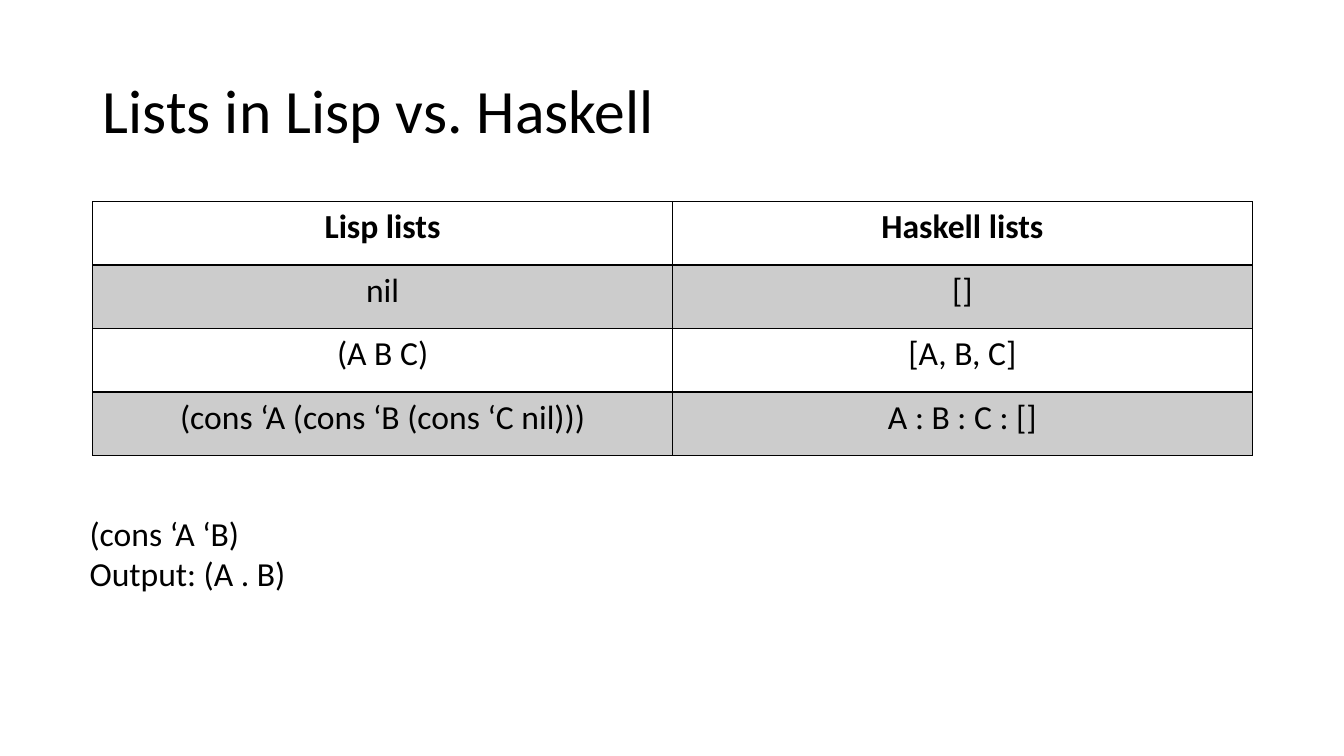
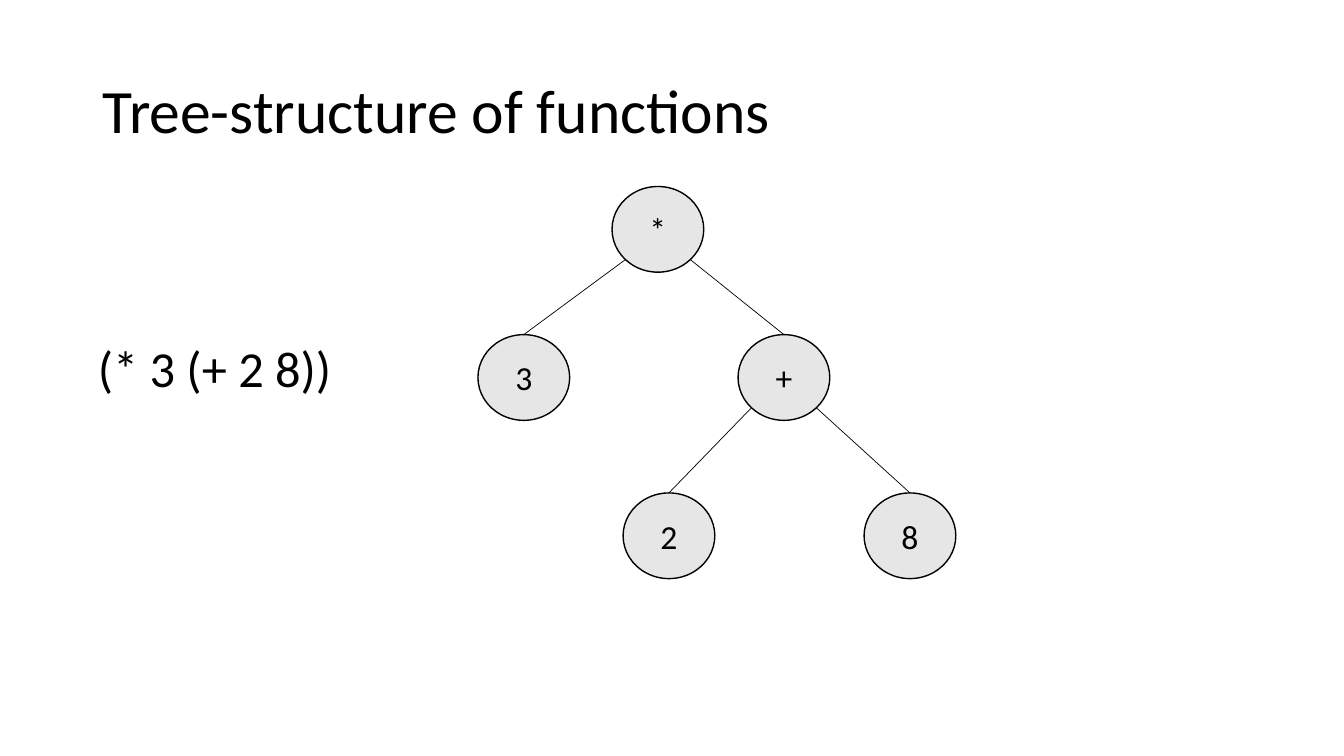
from lxml.etree import SubElement
from pptx import Presentation
from pptx.dml.color import RGBColor
from pptx.enum.shapes import MSO_CONNECTOR, MSO_SHAPE
from pptx.enum.text import MSO_ANCHOR, MSO_AUTO_SIZE, PP_ALIGN
from pptx.oxml.ns import qn
from pptx.util import Inches, Pt

BLACK = RGBColor(0x00, 0x00, 0x00)
WHITE = RGBColor(0xFF, 0xFF, 0xFF)
BAND = RGBColor(0xCC, 0xCC, 0xCC)
NODE_FILL = RGBColor(0xE7, 0xE6, 0xE6)
FONT = "Calibri"
TITLE_AND_BODY, TITLE_ONLY = 1, 5
NODE_W, NODE_H = 0.91, 0.85
DIAGONAL = 0.5 ** 0.5 / 2

LIST_ROWS = [
    ("Lisp lists", "Haskell lists"),
    ("nil", "[]"),
    ("(A B C)", "[A, B, C]"),
    ("(cons ‘A (cons ‘B (cons ‘C nil)))", "A : B : C : []"),
]
NODES = {
    "*": (6.07, 1.85),
    "3": (4.74, 3.32),
    "+": (7.32, 3.32),
    "2": (6.18, 4.89),
    "8": (8.57, 4.89),
}
BRANCHES = [("*", "3", -1), ("*", "+", 1), ("+", "2", -1), ("+", "8", 1)]


def write(tf, text, size=24, bold=False, align=PP_ALIGN.LEFT,
          anchor=MSO_ANCHOR.TOP, spacing=None, before=0):
    """Fill a text frame, one paragraph per line of text."""
    tf.word_wrap = True
    tf.vertical_anchor = anchor
    for i, line in enumerate(text.split("\n")):
        p = tf.paragraphs[0] if i == 0 else tf.add_paragraph()
        p.alignment = align
        p.line_spacing = spacing
        p.space_before = Pt(before)
        r = p.add_run()
        r.text = line
        r.font.name = FONT
        r.font.size = Pt(size)
        r.font.bold = bold
        r.font.color.rgb = BLACK


def place(sp, left, top, width, height):
    """Move and size a shape, in inches."""
    sp.left, sp.top = Inches(left), Inches(top)
    sp.width, sp.height = Inches(width), Inches(height)


def add_slide(prs, layout, title):
    """Add a slide with the shared title style."""
    s = prs.slides.add_slide(prs.slide_layouts[layout])
    place(s.shapes.title, 0.92, 0.4, 11.5, 1.45)
    tf = s.shapes.title.text_frame
    tf.auto_size = MSO_AUTO_SIZE.NONE
    write(tf, title, size=44, anchor=MSO_ANCHOR.MIDDLE, spacing=0.9)
    return s


def fill_body(s, text, left, top, width, height):
    """Set the body placeholder as plain text without a bullet."""
    sp = s.placeholders[1]
    place(sp, left, top, width, height)
    sp.text_frame.auto_size = MSO_AUTO_SIZE.NONE
    write(sp.text_frame, text, size=36, spacing=0.9, before=10)
    for p in sp.text_frame.paragraphs:
        pPr = p._p.get_or_add_pPr()
        pPr.set("marL", "0")
        pPr.set("indent", "0")
        SubElement(pPr, qn("a:buNone"))


def add_border(cell, side, width):
    """Draw one black border of a table cell."""
    tcPr = cell._tc.get_or_add_tcPr()
    ln = SubElement(tcPr, qn(f"a:ln{side}"), w=str(Pt(width)))
    fill = SubElement(ln, qn("a:solidFill"))
    SubElement(fill, qn("a:srgbClr"), val=str(BLACK))


def add_list_table(s, rows, left, top, width, row_height):
    """Add a banded table with a bold header over a heavier rule."""
    table = s.shapes.add_table(
        len(rows), len(rows[0]), Inches(left), Inches(top),
        Inches(width), Inches(row_height * len(rows))).table
    table.first_row = table.horz_banding = False
    for i, row in enumerate(rows):
        for j, text in enumerate(row):
            cell = table.cell(i, j)
            write(cell.text_frame, text, bold=i == 0, align=PP_ALIGN.CENTER)
            widths = {"L": 1, "R": 1, "T": 2 if i == 1 else 1,
                      "B": 2 if i == 0 else 1}
            for side, border in widths.items():
                add_border(cell, side, border)
            cell.fill.solid()
            cell.fill.fore_color.rgb = BAND if i % 2 else WHITE


def add_node(s, label, left, top):
    """Add one labelled tree node."""
    sp = s.shapes.add_shape(MSO_SHAPE.FLOWCHART_CONNECTOR, Inches(left),
                            Inches(top), Inches(NODE_W), Inches(NODE_H))
    sp.shadow.inherit = False
    sp.fill.solid()
    sp.fill.fore_color.rgb = NODE_FILL
    sp.line.color.rgb = BLACK
    sp.line.width = Pt(1)
    write(sp.text_frame, label, align=PP_ALIGN.CENTER,
          anchor=MSO_ANCHOR.MIDDLE)
    return sp


def add_branch(s, parent, child, side):
    """Join a parent's lower left (-1) or right (1) edge to a child's top."""
    x = parent.left + int(parent.width * (0.5 + side * DIAGONAL))
    y = parent.top + int(parent.height * (0.5 + DIAGONAL))
    line = s.shapes.add_connector(MSO_CONNECTOR.STRAIGHT, x, y,
                                  child.left, child.top)
    line.end_connect(child, 0)
    line.line.color.rgb = BLACK
    line.line.width = Pt(0.5)
    SubElement(line._element.spPr, qn("a:effectLst"))


def build_lists(prs):
    """Build the slide that compares list notations."""
    s = add_slide(prs, TITLE_ONLY, "Lists in Lisp vs. Haskell")
    add_list_table(s, LIST_ROWS, 0.92, 2, 11.5, 0.63)
    box = s.shapes.add_textbox(Inches(0.79), Inches(5.04),
                               Inches(11.76), Inches(0.91))
    write(box.text_frame, "(cons ‘A ‘B)\nOutput: (A . B)")


def build_tree(prs):
    """Build the slide that shows an expression as a tree."""
    s = add_slide(prs, TITLE_AND_BODY, "Tree-structure of functions")
    fill_body(s, "(* 3 (+ 2 8))", 0.87, 3.36, 2.88, 4)
    nodes = {label: add_node(s, label, *at) for label, at in NODES.items()}
    for parent, child, side in BRANCHES:
        add_branch(s, nodes[parent], nodes[child], side)


def main():
    """Build and save the presentation."""
    prs = Presentation()
    prs.slide_width, prs.slide_height = Inches(13.33), Inches(7.5)
    build_lists(prs)
    build_tree(prs)
    prs.save("out.pptx")


if __name__ == "__main__":
    main()
